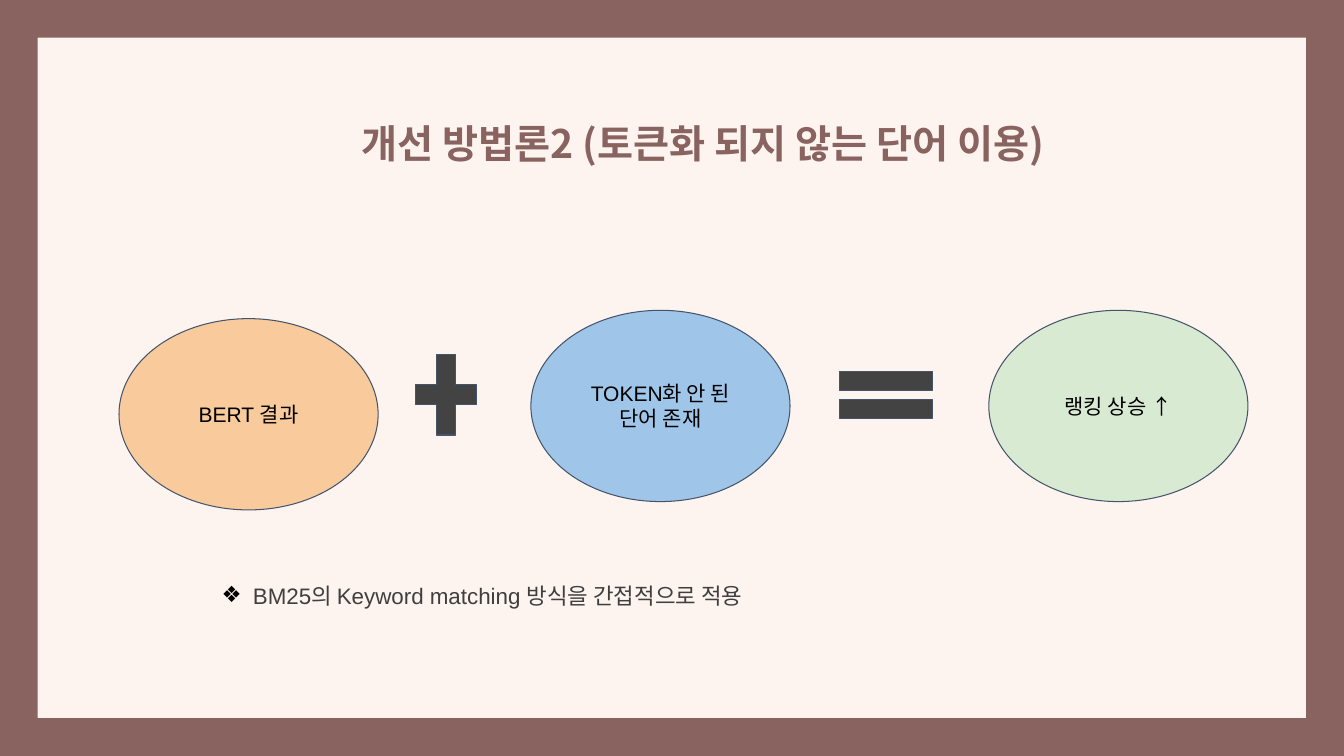
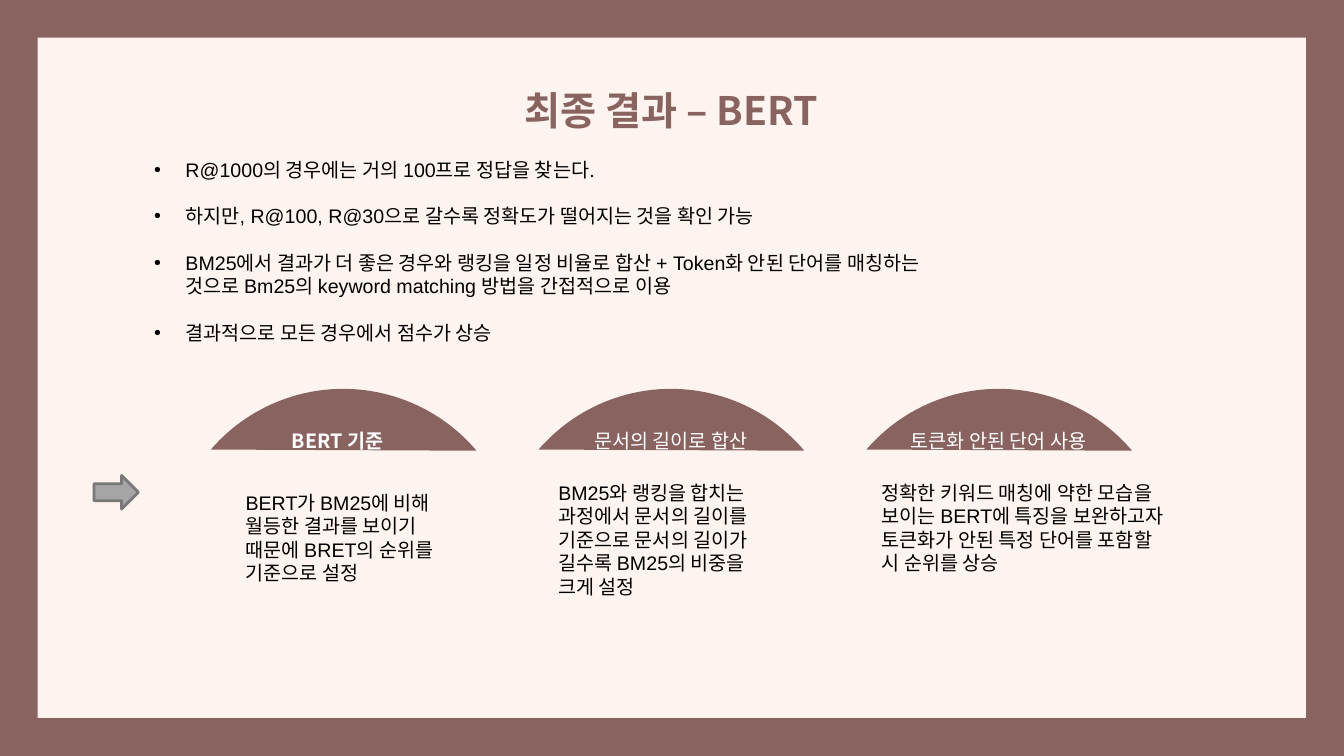
"""Build two slides on ranking results: a sum of ideas and a final summary."""
from collections import namedtuple

from lxml import etree
from pptx import Presentation
from pptx.dml.color import RGBColor
from pptx.enum.shapes import MSO_SHAPE
from pptx.enum.text import MSO_ANCHOR, MSO_AUTO_SIZE, PP_ALIGN
from pptx.oxml.ns import qn
from pptx.util import Cm, Pt

CREAM = RGBColor(0xFD, 0xF4, 0xEF)
MAUVE = RGBColor(0x89, 0x63, 0x60)
ORANGE = RGBColor(0xF9, 0xCB, 0x9C)
BLUE = RGBColor(0x9F, 0xC5, 0xE8)
GREEN = RGBColor(0xD9, 0xEA, 0xD3)
NAVY = RGBColor(0x44, 0x54, 0x6A)
CHARCOAL = RGBColor(0x43, 0x43, 0x43)
DARK_GREY = RGBColor(0x3F, 0x3F, 0x3F)
GREY = RGBColor(0xA5, 0xA5, 0xA5)
MID_GREY = RGBColor(0x78, 0x78, 0x78)
BLACK = RGBColor(0, 0, 0)
WHITE = RGBColor(0xFF, 0xFF, 0xFF)

BODY_FONT = "Arial"
TITLE_FONT = "Noto Sans CJK KR"
LEFT, CENTER = PP_ALIGN.LEFT, PP_ALIGN.CENTER
TOP, MIDDLE = MSO_ANCHOR.TOP, MSO_ANCHOR.MIDDLE
NO_FIT = MSO_AUTO_SIZE.NONE
FRAME, OVAL, CHORD = MSO_SHAPE.FRAME, MSO_SHAPE.OVAL, MSO_SHAPE.CHORD
PLUS, EQUAL = MSO_SHAPE.MATH_PLUS, MSO_SHAPE.MATH_EQUAL
ARROW = MSO_SHAPE.RIGHT_ARROW

# All box lengths are centimetres.
Box = namedtuple("Box", "left top width height")
PAGE = Box(0, 0, 33.87, 19.05)
INDENT = Cm(0.79)


def lengths(box):
    """Return the four sides of a box as Cm lengths."""
    return [Cm(side) for side in box]


def place(shape, box):
    """Move and size a shape to a box."""
    shape.left, shape.top, shape.width, shape.height = lengths(box)


def add_figure(shapes, kind, box, fill, line=None, line_width=0.75, adjust=()):
    """Add a flat preset shape with an optional outline."""
    shape = shapes.add_shape(kind, *lengths(box))
    shape.shadow.inherit = False
    shape.fill.solid()
    shape.fill.fore_color.rgb = fill
    if line is None:
        shape.line.fill.background()
    else:
        shape.line.color.rgb = line
        shape.line.width = Pt(line_width)
    for index, value in enumerate(adjust):
        shape.adjustments[index] = value
    return shape


def write(text_frame, lines, size, color, font=BODY_FONT, bold=False,
          align=LEFT, spacing=1.0, gap=0, anchor=TOP):
    """Fill a text frame with equally formatted paragraphs."""
    text_frame.word_wrap = True
    text_frame.auto_size = NO_FIT
    text_frame.vertical_anchor = anchor
    text_frame.text = "\n".join(lines)
    for para in text_frame.paragraphs:
        para.alignment = align
        para.line_spacing = spacing
        para.space_before, para.space_after = Pt(0), Pt(gap)
        para.font.name, para.font.size = font, Pt(size)
        para.font.bold = bold
        para.font.color.rgb = color


def add_bullet(para, mark):
    """Give a formatted paragraph a black hanging bullet."""
    properties = para._p.get_or_add_pPr()
    properties.set("marL", str(INDENT))
    properties.set("indent", str(-INDENT))
    bullet_color = etree.Element(qn("a:buClr"))
    etree.SubElement(bullet_color, qn("a:srgbClr"), val=str(BLACK))
    character = etree.Element(qn("a:buChar"), char=mark)
    font_properties = properties.find(qn("a:defRPr"))
    for element in (bullet_color, character):
        font_properties.addprevious(element)


def add_page(deck, title, title_box):
    """Add a framed slide with its title."""
    page = deck.slides.add_slide(deck.slide_layouts[1])
    frame = add_figure(page.shapes, FRAME, PAGE, MAUVE, adjust=[0.05])
    page.shapes.title._element.addprevious(frame._element)
    place(page.shapes.title, title_box)
    write(page.shapes.title.text_frame, [title], 28, MAUVE, TITLE_FONT,
          bold=True, align=CENTER, spacing=1.5)
    return page


def fill_list(page, box, lines, size, color, mark, gap=0):
    """Place the bullet list of a slide in its body placeholder."""
    body = page.placeholders[1]
    place(body, box)
    write(body.text_frame, lines, size, color, gap=gap)
    for para in body.text_frame.paragraphs:
        add_bullet(para, mark)


def add_term(page, box, text, fill):
    """Add one labelled oval of the sum."""
    oval = add_figure(page.shapes, OVAL, box, fill, NAVY)
    text_frame = oval.text_frame
    text_frame.margin_left = text_frame.margin_right = Cm(0.25)
    text_frame.margin_top = text_frame.margin_bottom = Cm(0.25)
    write(text_frame, [text], 15, BLACK, align=CENTER, anchor=MIDDLE)


def add_note(shapes, box, text, **style):
    """Add a 14 point text box."""
    note = shapes.add_textbox(*lengths(box))
    write(note.text_frame, [text], 14, **style)


def add_heading(page, box, text, shift, **style):
    """Add a dome with a heading, shifted sideways from the dome's centre."""
    group = page.shapes.add_group_shape()
    add_figure(group.shapes, CHORD, box, MAUVE, adjust=[132.43, 191.87])
    width = 5.6
    left = box.left + (box.width - width) / 2 + shift
    add_note(group.shapes, Box(left, box.top + 0.58, width, 1.14), text,
             color=WHITE, align=CENTER, spacing=1.5, **style)


def build_sum(deck):
    """Build the slide that adds two ideas to a better ranking."""
    page = add_page(deck, "개선 방법론2 (토큰화 되지 않는 단어 이용)",
                    Box(7.77, 2.29, 19.89, 1.7))
    terms = [(3, 8.03, "BERT 결과", ORANGE),
             (13.38, 7.82, "TOKEN화 안 된 단어 존재", BLUE),
             (24.92, 7.82, "랭킹 상승 ↑", GREEN)]
    for left, top, text, fill in terms:
        add_term(page, Box(left, top, 6.53, 4.82), text, fill)
    operators = [(PLUS, Box(10.2, 8.56, 2.09, 2.77), [0.235]),
                 (EQUAL, Box(20.73, 8.95, 3.2, 2), [0.235, 0.118])]
    for kind, box, adjust in operators:
        add_figure(page.shapes, kind, box, CHARCOAL, NAVY, adjust=adjust)
    fill_list(page, Box(5.33, 14.53, 23.16, 0.94),
              ["BM25의 Keyword matching 방식을 간접적으로 적용"],
              16, DARK_GREY, "❖")


def build_result(deck):
    """Build the slide with the findings and the three steps behind them."""
    page = add_page(deck, "최종 결과 – BERT", Box(8.5, 1.45, 16.82, 1.7))
    findings = [
        "R@1000의 경우에는 거의 100프로 정답을 찾는다.",
        "하지만, R@100, R@30으로 갈수록 정확도가 떨어지는 것을 확인 가능",
        "BM25에서 결과가 더 좋은 경우와 랭킹을 일정 비율로 합산 + Token화 "
        "안된 단어를 매칭하는 것으로 Bm25의 keyword matching 방법을 "
        "간접적으로 이용",
        "결과적으로 모든 경우에서 점수가 상승",
    ]
    fill_list(page, Box(3.63, 3.84, 20.12, 4.45), findings, 14, BLACK, "•",
              gap=16.5)
    add_figure(page.shapes, ARROW, Box(2.37, 11.98, 1.12, 0.85), GREY,
               MID_GREY, 2)
    headings = [("BERT 기준", -0.14, {"font": TITLE_FONT, "bold": True}),
                ("문서의 길이로 합산", 0, {}),
                ("토큰화 안된 단어 사용", 0, {})]
    for column, (text, shift, style) in enumerate(headings):
        add_heading(page, Box(4.25 + column * 8.26, 9.8, 8.8, 8.8), text,
                    shift, **style)
    steps = [
        (Box(5.94, 12.24, 5.56, 3.84),
         "BERT가 BM25에 비해 월등한 결과를 보이기 때문에 BRET의 순위를 "
         "기준으로 설정"),
        (Box(13.82, 11.99, 6.2, 4.45),
         "BM25와 랭킹을 합치는 과정에서 문서의 길이를 기준으로 문서의 "
         "길이가 길수록 BM25의 비중을 크게 설정"),
        (Box(21.97, 11.99, 7.82, 3.84),
         "정확한 키워드 매칭에 약한 모습을 보이는 BERT에 특징을 "
         "보완하고자 토큰화가 안된 특정 단어를 포함할 시 순위를 상승"),
    ]
    for box, text in steps:
        add_note(page.shapes, box, text, color=BLACK)


def main():
    """Set up the deck, build both slides and save."""
    deck = Presentation()
    deck.slide_width, deck.slide_height = Cm(PAGE.width), Cm(PAGE.height)
    background = deck.slide_master.background.fill
    background.solid()
    background.fore_color.rgb = CREAM
    build_sum(deck)
    build_result(deck)
    deck.save("out.pptx")


main()
